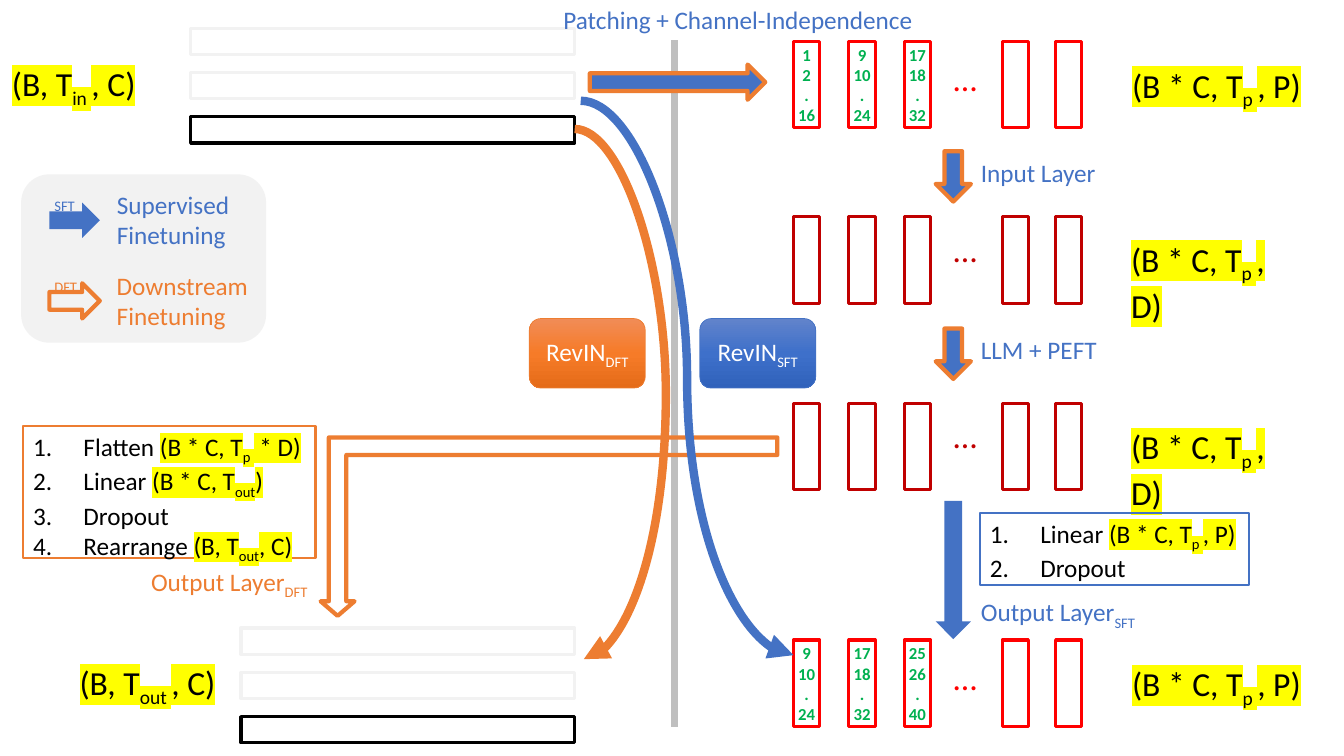
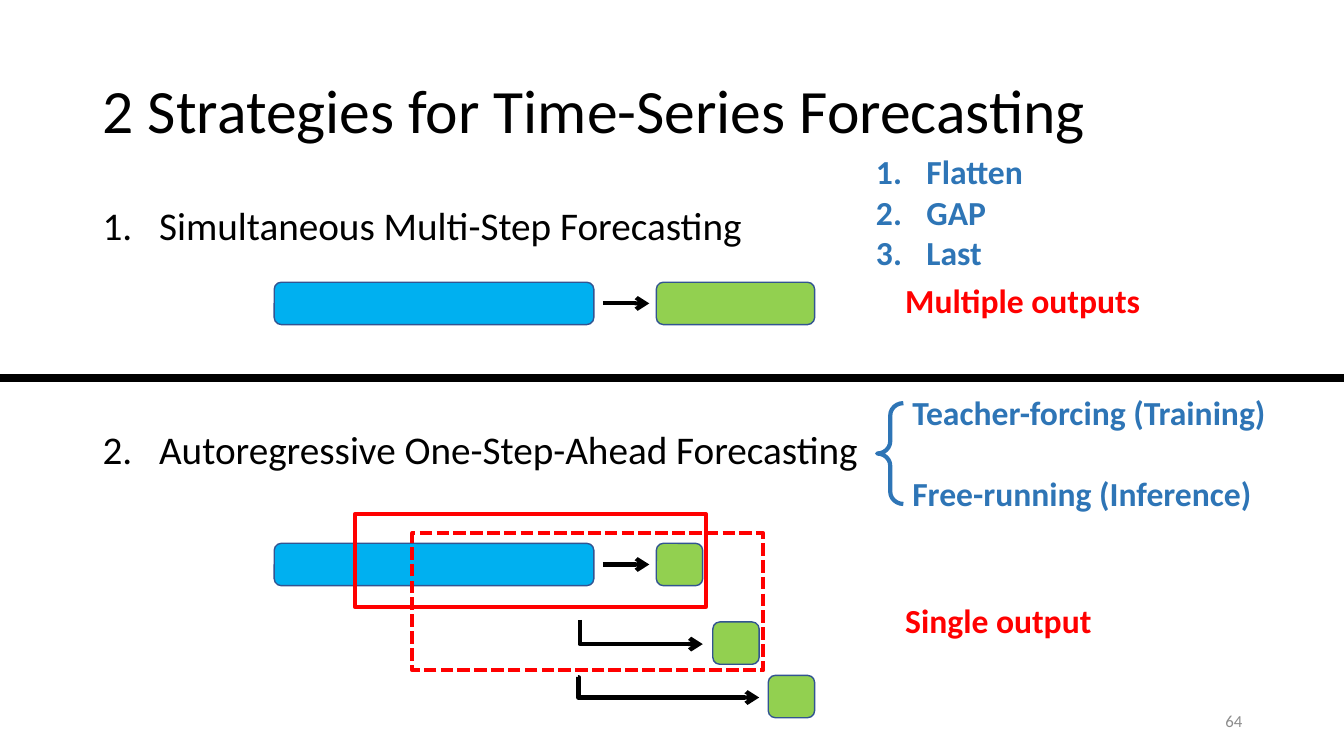
from copy import deepcopy

from lxml import etree
from pptx import Presentation
from pptx.dml.color import RGBColor
from pptx.enum import dml, shapes, text
from pptx.oxml import ns
from pptx.util import Inches, Pt

# Shared look
FONT = "Calibri"
BLACK, WHITE = RGBColor(0, 0, 0), RGBColor(255, 255, 255)
BLUE, ORANGE = RGBColor(0x44, 0x72, 0xC4), RGBColor(0xED, 0x7D, 0x31)
RED, DARK_RED = RGBColor(255, 0, 0), RGBColor(0xC0, 0, 0)
GREEN, NAVY = RGBColor(0, 0xB0, 0x50), RGBColor(0x32, 0x54, 0x91)
GRAY, PANEL = RGBColor(0xBF, 0xBF, 0xBF), RGBColor(0xF2, 0xF2, 0xF2)
PAGE_GRAY, STEEL = RGBColor(0x8C, 0x8C, 0x8C), RGBColor(0x2E, 0x75, 0xB6)
SKY, LIME = RGBColor(0, 0xB0, 0xF0), RGBColor(0x92, 0xD0, 0x50)
HIGHLIGHT = "FFFF00"
KIND, LINK = shapes.MSO_SHAPE, shapes.MSO_CONNECTOR
CENTER, RIGHT = text.PP_ALIGN.CENTER, text.PP_ALIGN.RIGHT
MIDDLE = text.MSO_ANCHOR.MIDDLE


def tensor(start, sub, end):
    """Highlighted dimensions: h is highlight, s is subscript."""
    return [(start, "h"), (sub, "hs"), (end, "h")]


# Slide 1 content
PATCH_X = [8.0, 8.55, 9.1, 10.07, 10.6]
PATCH_ROWS = [  # centre, dots top, colour, values, label top, label
    (0.84, 0.53, RED, [["1", "2", ".", "16"], ["9", "10", ".", "24"],
                       ["17", "18", ".", "32"]],
     11.13, 0.59, tensor("(B * C, T", "p ", ", P)")),
    (2.58, 2.22, DARK_RED, [], 11.12, 2.32, tensor("(B * C, T", "p ", ", D)")),
    (4.43, 4.07, DARK_RED, [], 11.12, 4.18, tensor("(B * C, T", "p ", ", D)")),
    (6.78, 6.47, RED, [["9", "10", ".", "24"], ["17", "18", ".", "32"],
                       ["25", "26", ".", "40"]],
     11.13, 6.53, tensor("(B * C, T", "p ", ", P)")),
]
SERIES = [  # left, top, width, label position, label
    (1.89, 0.28, 3.81, (0.02, 0.58, 1.46), tensor("(B, T", "in ", ", C)")),
    (2.39, 6.23, 3.31, (0.69, 6.52, 1.58), tensor("(B, T", "out ", ", C)")),
]
STEP_ARROWS = [  # top, height, outline
    (1.5, 0.5, ORANGE), (3.26, 0.5, ORANGE), (4.97, 1.37, None)]
CAPTIONS = [  # left, top, width, colour, runs
    (5.49, -0.01, 3.71, BLUE, "Patching + Channel-Independence"),
    (9.63, 1.51, 1.36, BLUE, "Input Layer"),
    (9.63, 3.27, 1.36, BLUE, "LLM + PEFT"),
    (9.63, 5.87, 1.78, BLUE, [("Output Layer", ""), ("SFT", "s")]),
    (1.4, 5.57, 1.81, ORANGE, [("Output Layer", ""), ("DFT", "s")]),
]
LAYER_LISTS = [  # left, top, width, height, outline, items
    (0.23, 4.23, 2.9, 1.31, ORANGE, [
        [("Flatten ", "")] + tensor("(B * C, T", "p ", " * D)"),
        [("Linear ", "")] + tensor("(B * C, T", "out", ")"),
        "Dropout",
        [("Rearrange ", "")] + tensor("(B, T", "out", ", C)")]),
    (9.72, 5.09, 2.67, 0.71, BLUE, [
        [("Linear ", "")] + tensor("(B * C, T", "p ", ", P)"),
        "Dropout"]),
]
REVIN = [  # left, outline, subscript, gradient
    (5.25, ORANGE, "DFT", ("F18C57", "F67B28", "E56C19")),
    (6.94, BLUE, "SFT", ("6183CB", "3E70CA", "3062BB")),
]
LEGEND = [  # top of text, width, colour, tag, lines, filled
    (1.83, 1.39, BLUE, "SFT", ["Supervised", "Finetuning"], True),
    (2.63, 1.57, ORANGE, "DFT", ["Downstream", "Finetuning"], False),
]
CURVES = [  # start, end, colour, bend
    ((5.76, 1), (7.87, 6.5), BLUE, None),
    ((5.7, 1.28), (5.79, 6.54), ORANGE, 1002800),
]

# Slide 2 content
TITLE = "2 Strategies for Time-Series Forecasting"
STRATEGIES = ["Simultaneous Multi-Step Forecasting",
              "Autoregressive One-Step-Ahead Forecasting"]
POOLING = ["Flatten", "GAP", "Last"]
MODES = ["Teacher-forcing (Training)", "Free-running (Inference)"]
OUTPUTS = [(2.73, 2.56, "Multiple outputs"), (5.9, 2.07, "Single output")]
BARS = [  # left, top, width, fill
    (2.72, 2.8, 3.17, SKY), (6.51, 2.8, 1.57, LIME),
    (2.72, 5.39, 3.17, SKY), (6.51, 5.39, 0.46, LIME),
    (7.07, 6.17, 0.46, LIME), (7.62, 6.7, 0.46, LIME)]
WINDOWS = [(3.52, 5.1, 0.92, None),
           (4.09, 5.29, 1.36, dml.MSO_LINE.SQUARE_DOT)]
STEP_LINKS = [  # kind, start, end, bend
    (LINK.STRAIGHT, (5.98, 3.01), (6.44, 3.01), None),
    (LINK.STRAIGHT, (5.98, 5.6), (6.44, 5.6), None),
    (LINK.ELBOW, (5.75, 6.15), (6.97, 6.39), 0),
    (LINK.ELBOW, (5.73, 6.72), (7.53, 6.92), 400)]


# Drawing helpers
def add_xml(parent, tag, **attributes):
    return etree.SubElement(parent, ns.qn(tag), attributes)


def draw(slide, kind, left, top, width, height, fill=None, line=None, points=1):
    shape = slide.shapes.add_shape(
        kind, Inches(left), Inches(top), Inches(width), Inches(height))
    shape.shadow.inherit = False
    if fill is None:
        shape.fill.background()
    else:
        shape.fill.solid()
        shape.fill.fore_color.rgb = fill
    if line is None:
        shape.line.fill.background()
    else:
        shape.line.color.rgb = line
        shape.line.width = Pt(points)
    return shape


def connect(slide, kind, start, end, color, points, head=None, bend=None):
    connector = slide.shapes.add_connector(
        kind, *(Inches(value) for value in (*start, *end)))
    connector.line.color.rgb = color
    connector.line.width = Pt(points)
    properties = connector._element.spPr
    if head:
        add_xml(properties.find(ns.qn("a:ln")), "a:tailEnd", type=head)
    add_xml(properties, "a:effectLst")
    if bend is not None:
        geometry = properties.find(ns.qn("a:prstGeom"))
        guides = geometry.find(ns.qn("a:avLst"))
        if guides is None:
            guides = add_xml(geometry, "a:avLst")
        add_xml(guides, "a:gd", name="adj1", fmla=f"val {bend}")
    return connector


def format_run(run, size, color, bold=False, style=""):
    run.font.size = Pt(size)
    run.font.bold = bold
    run.font.color.rgb = color
    run.font.name = FONT
    properties = run.font._element
    if "s" in style:
        properties.set("baseline", "-25000")
    if "h" in style:
        highlight = etree.Element(ns.qn("a:highlight"))
        add_xml(highlight, "a:srgbClr", val=HIGHLIGHT)
        properties.find(ns.qn("a:solidFill")).addnext(highlight)


def write(shape, lines, size, color, bold=False, align=None, indent=None,
          gap=0, spacing=None):
    """Each line is a string or a list of (text, style) runs."""
    frame = shape.text_frame
    for index, line in enumerate(lines):
        paragraph = frame.add_paragraph() if index else frame.paragraphs[0]
        if indent:
            properties = paragraph._p.get_or_add_pPr()
            properties.set("marL", str(Inches(indent)))
            properties.set("indent", str(-Inches(indent)))
            add_xml(properties, "a:buFont", typeface="+mj-lt")
            add_xml(properties, "a:buAutoNum", type="arabicPeriod")
        if align is not None:
            paragraph.alignment = align
        if spacing:
            paragraph.line_spacing = spacing
        if index and gap:
            paragraph.space_before = Pt(gap)
        for content, style in [(line, "")] if isinstance(line, str) else line:
            run = paragraph.add_run()
            run.text = content
            format_run(run, size, color, bold, style)


def label(slide, left, top, width, height, lines, size, color, **options):
    box = slide.shapes.add_textbox(
        Inches(left), Inches(top), Inches(width), Inches(height))
    box.text_frame.word_wrap = False
    box.text_frame.auto_size = text.MSO_AUTO_SIZE.SHAPE_TO_FIT_TEXT
    write(box, lines, size, color, **options)
    return box


def shade(shape, colors):
    shape.fill.gradient()
    shape.fill.gradient_angle = 270
    stop_list = shape._element.spPr.find(".//" + ns.qn("a:gsLst"))
    stop_list.append(deepcopy(stop_list[-1]))
    for index, stop in enumerate(shape.fill.gradient_stops):
        stop.position = index / 2
        stop.color.rgb = RGBColor.from_string(colors[index])


def build_architecture(presentation):
    slide = presentation.slides.add_slide(presentation.slide_layouts[6])
    connect(slide, LINK.STRAIGHT, (6.69, 0.4), (6.69, 7.21), GRAY, 4.5)
    draw(slide, KIND.RIGHT_ARROW, 5.85, 0.64, 1.74, 0.35, BLUE, ORANGE, 3)

    # Channels, the first two faded by a veil
    for left, top, width, place, dimensions in SERIES:
        for row in range(3):
            draw(slide, KIND.RECTANGLE, left, top + 0.44 * row, width, 0.26,
                 line=BLACK, points=2.25)
        veil = draw(slide, KIND.RECTANGLE, left - 0.06, top - 0.11,
                    width + 0.15, 0.86, WHITE)
        veil_color = veil._element.spPr.find(".//" + ns.qn("a:srgbClr"))
        add_xml(veil_color, "a:alpha", val="95000")
        label(slide, *place, 0.5, [dimensions], 24, BLACK)

    # Patch rows
    for center, dots_top, color, values, left, top, dimensions in PATCH_ROWS:
        for index, x in enumerate(PATCH_X):
            patch = draw(slide, KIND.RECTANGLE, x - 0.13, center - 0.43,
                         0.26, 0.86, line=color, points=2.25)
            if index < len(values):
                frame = patch.text_frame
                frame.word_wrap = False
                frame.vertical_anchor = MIDDLE
                frame.margin_left = frame.margin_right = 0
                frame.margin_top = frame.margin_bottom = 0
                write(patch, values[index], 12, GREEN, bold=True, align=CENTER)
        label(slide, 9.36, dots_top, 0.44, 0.42, ["…"], 24, color)
        label(slide, left, top, 1.9, 0.5, [dimensions], 24, BLACK)

    # Steps and layer lists
    for top, height, outline in STEP_ARROWS:
        draw(slide, KIND.DOWN_ARROW, 9.28, top, 0.35, height, BLUE, outline, 3)
    for left, top, width, color, runs in CAPTIONS:
        label(slide, left, top, width, 0.4, [runs], 18, color)
    for left, top, width, height, outline, items in LAYER_LISTS:
        box = label(slide, left, top, width, height, items, 18, BLACK, indent=0.5)
        box.line.color.rgb = outline
        box.line.width = Pt(1.5)

    # Normalisation blocks
    for left, outline, sub, colors in REVIN:
        block = draw(slide, KIND.ROUNDED_RECTANGLE, left, 3.16, 1.15, 0.69,
                     line=outline, points=0.5)
        shade(block, colors)
        block.text_frame.vertical_anchor = MIDDLE
        write(block, [[("RevIN", ""), (sub, "s")]], 18, WHITE, align=CENTER)

    # Legend
    draw(slide, KIND.ROUNDED_RECTANGLE, 0.21, 1.73, 2.43, 1.67, PANEL)
    for top, width, color, tag, lines, filled in LEGEND:
        fill, outline = (color, None) if filled else (None, color)
        draw(slide, KIND.RIGHT_ARROW, 0.49, top + 0.18, 0.5, 0.35,
             fill, outline, 3)
        label(slide, 1.06, top, width, 0.71, lines, 18, color)
        label(slide, 0.44, top - 0.09, 0.45, 0.3, [[(tag, "s")]], 18, color)

    # Output and skip paths
    bent = draw(slide, KIND.BENT_UP_ARROW, 3.18, 4.34, 4.53, 1.77,
                line=ORANGE, points=3)
    bent.rotation = 180
    for index, value in enumerate((0.098, 0.095, 0.082)):
        bent.adjustments[index] = value
    for start, end, color, bend in CURVES:
        connect(slide, LINK.CURVE, start, end, color, 6, "triangle", bend)


def build_strategies(presentation):
    slide = presentation.slides.add_slide(presentation.slide_layouts[5])
    title = slide.shapes.title
    title.left, title.top = Inches(0.92), Inches(0.4)
    title.width, title.height = Inches(11.5), Inches(1.45)
    title.text_frame.vertical_anchor = MIDDLE
    write(title, [TITLE], 44, BLACK, align=text.PP_ALIGN.LEFT, spacing=0.9)

    # Strategy names
    body = slide.shapes.add_textbox(
        Inches(0.92), Inches(2), Inches(11.5), Inches(4.76))
    body.text_frame.word_wrap = True
    write(body, STRATEGIES, 28, BLACK, indent=0.56, gap=130, spacing=0.9)
    page = slide.shapes.add_textbox(
        Inches(9.42), Inches(6.95), Inches(3), Inches(0.4))
    page.text_frame.word_wrap = True
    page.text_frame.vertical_anchor = MIDDLE
    write(page, ["64"], 12, PAGE_GRAY, align=RIGHT)

    # Inputs, forecasts and sliding windows
    for left, top, width, fill in BARS:
        draw(slide, KIND.ROUNDED_RECTANGLE, left, top, width, 0.42, fill, NAVY)
    for left, top, height, dash in WINDOWS:
        window = draw(slide, KIND.RECTANGLE, left, top, 3.48, height,
                      line=RED, points=3)
        if dash is not None:
            window.line.dash_style = dash
    for kind, start, end, bend in STEP_LINKS:
        connect(slide, kind, start, end, BLACK, 3, "arrow", bend)
    connect(slide, LINK.STRAIGHT, (-0.05, 3.75), (13.49, 3.75), BLACK, 6)

    # Side notes
    for top, width, note in OUTPUTS:
        label(slide, 8.88, top, width, 0.5, [note], 24, RED, bold=True)
    label(slide, 8.95, 3.84, 3.75, 1.31, MODES, 24, STEEL, bold=True, gap=29)
    brace = draw(slide, KIND.LEFT_BRACE, 8.7, 4, 0.26, 1, line=STEEL, points=3)
    brace.adjustments[0] = 0.471
    label(slide, 8.59, 1.45, 1.7, 1.31, POOLING, 24, STEEL, bold=True, indent=0.5)


def main():
    presentation = Presentation()
    presentation.slide_width, presentation.slide_height = Inches(13.33), Inches(7.5)
    build_architecture(presentation)
    build_strategies(presentation)
    presentation.save("out.pptx")


if __name__ == "__main__":
    main()
